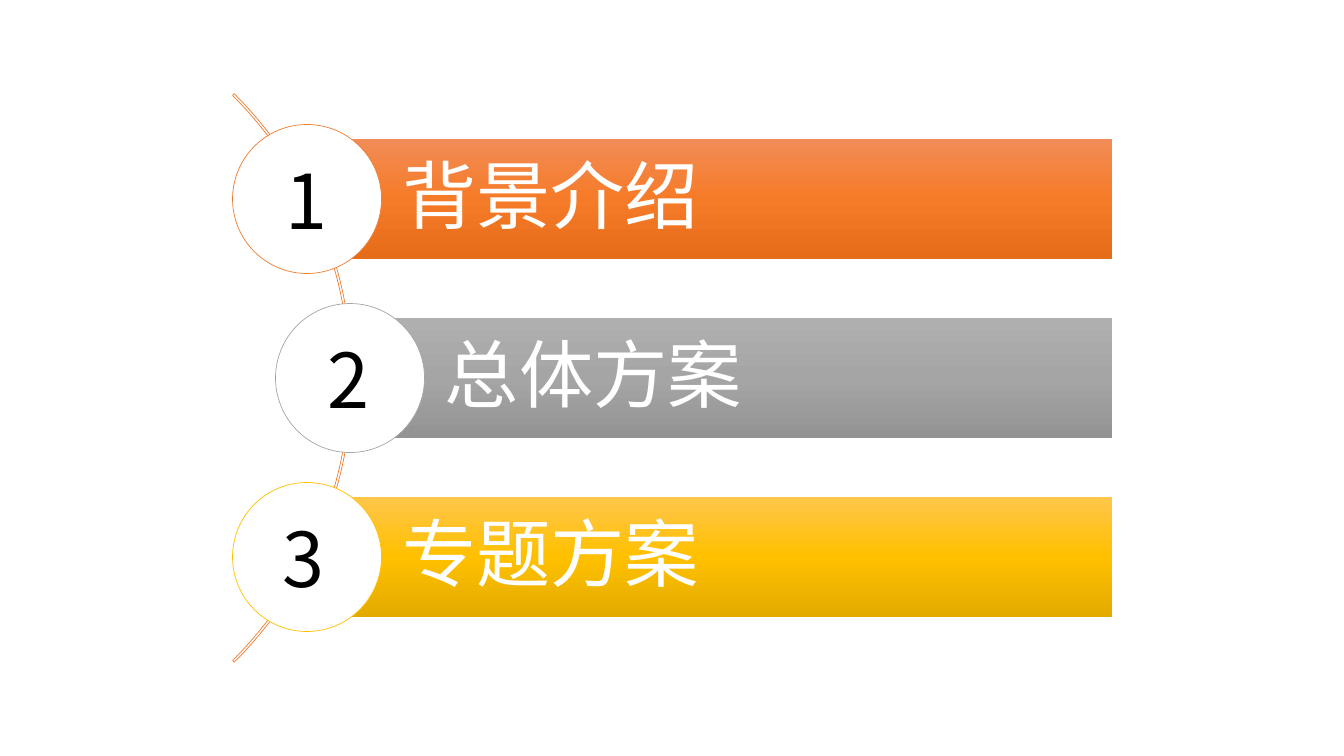
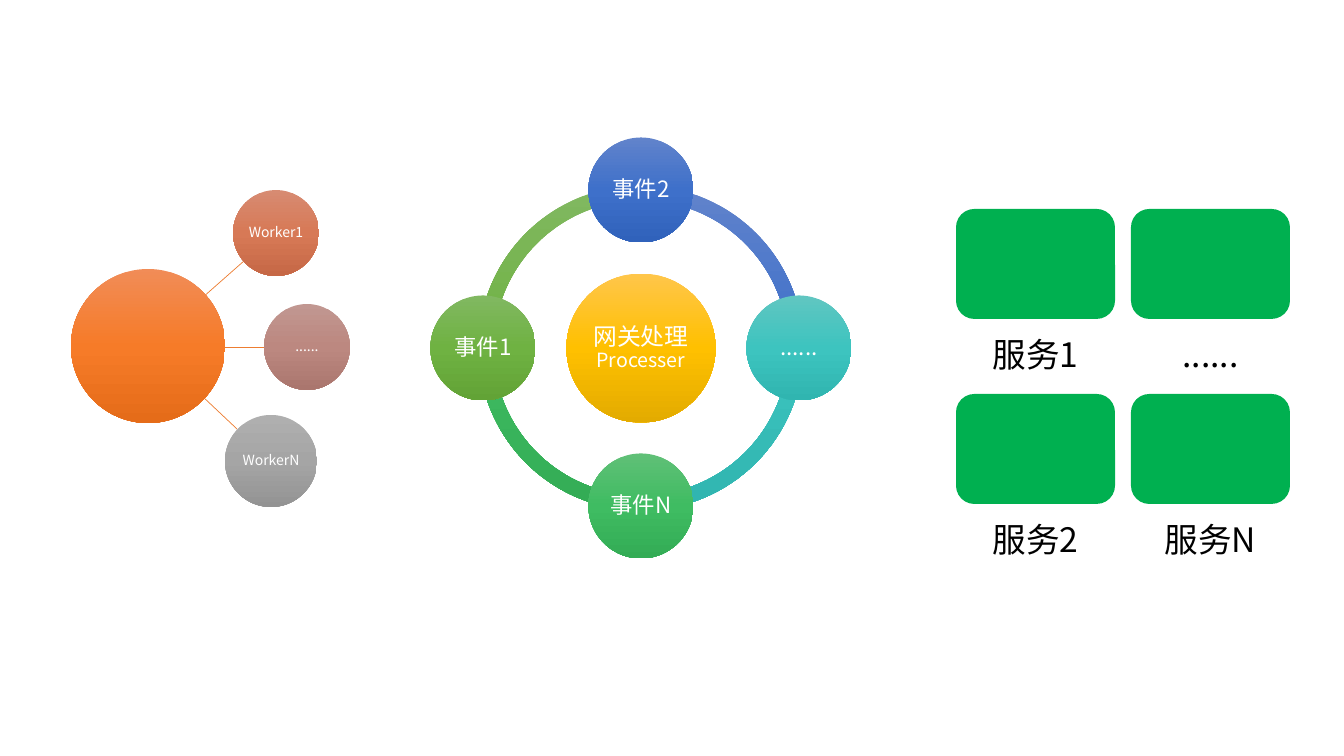
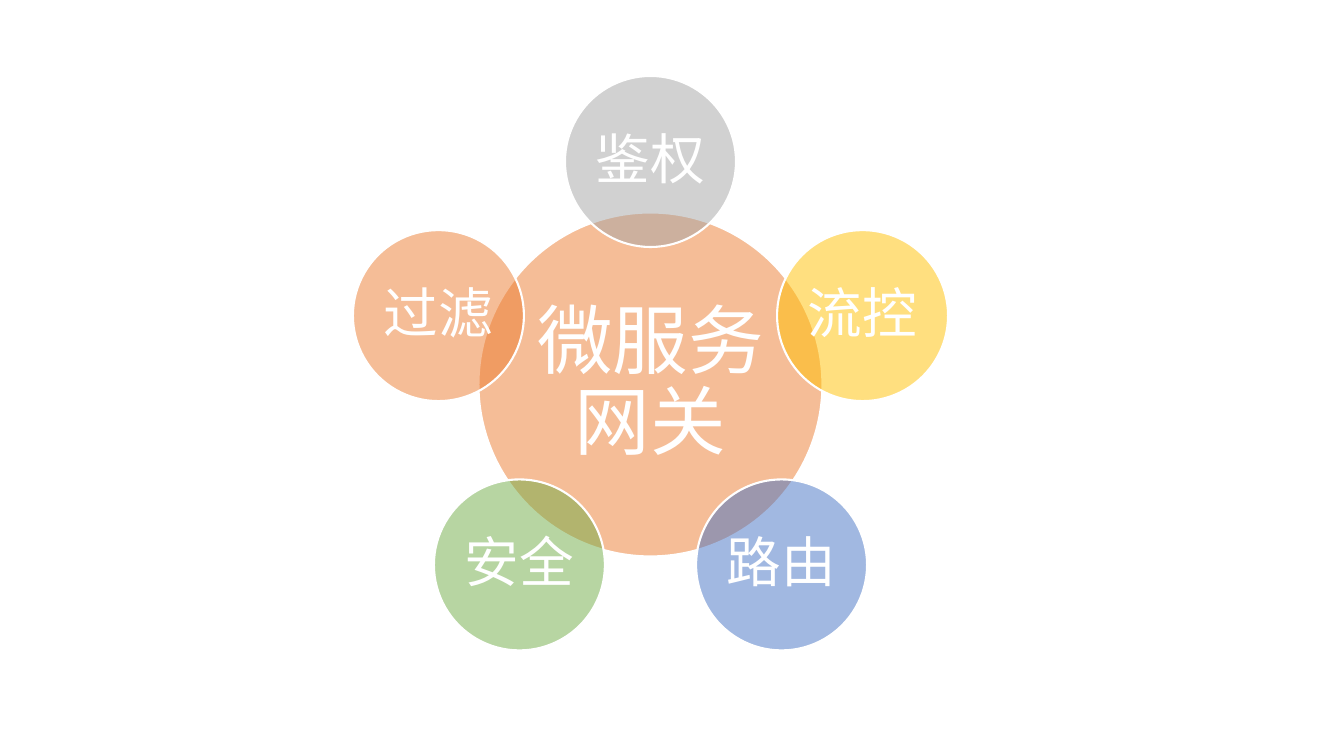
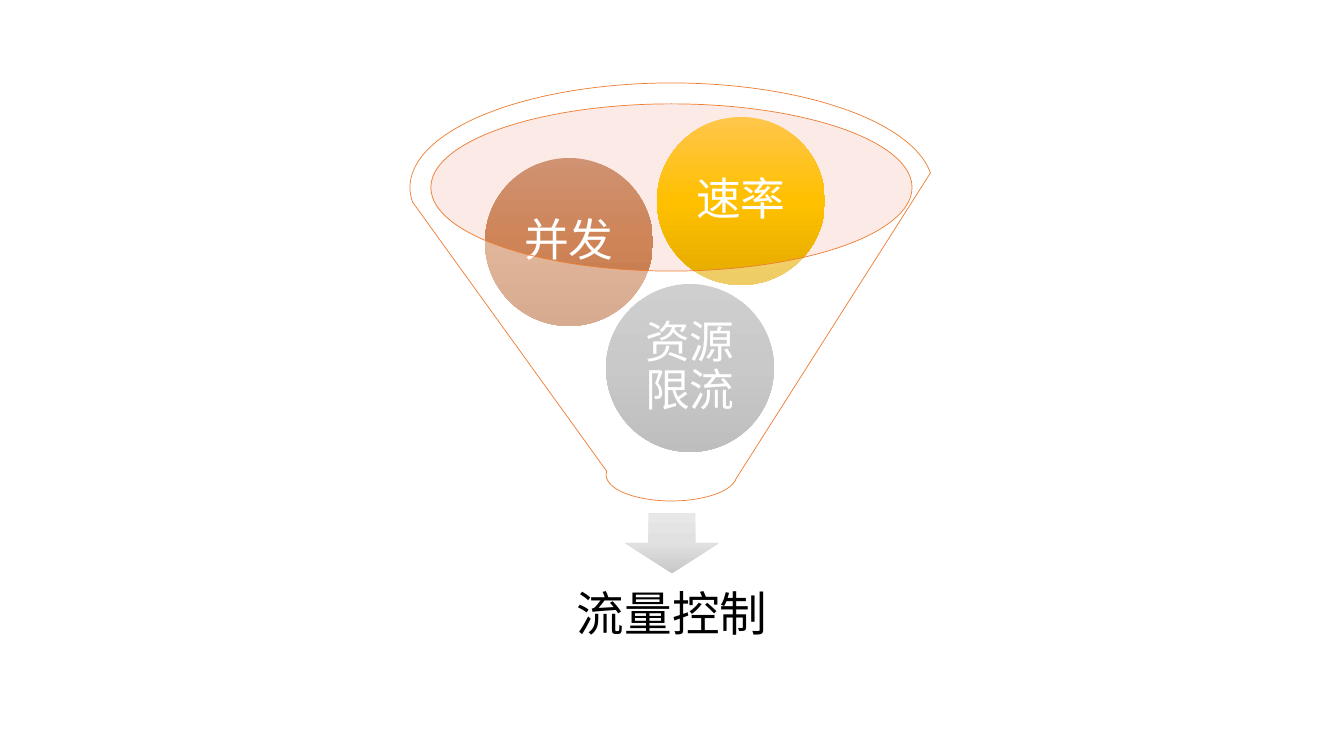
"""Build four slides on a microservice gateway: agenda, event model, functions and flow control."""
from copy import deepcopy
from math import cos, radians, sin

from pptx import Presentation
from pptx.dml.color import RGBColor
from pptx.enum.shapes import MSO_CONNECTOR, MSO_SHAPE as PRESET
from pptx.enum.text import MSO_ANCHOR as ANCHOR, MSO_AUTO_SIZE as AUTO_SIZE, PP_ALIGN as ALIGN
from pptx.oxml.ns import qn
from pptx.oxml.xmlchemy import OxmlElement
from pptx.util import Emu, Pt

PX = 914400 / 100.8
SLIDE_WIDTH, SLIDE_HEIGHT = 1344, 756
FONT = "Noto Sans CJK SC"
HAIRLINE = 0.5

WHITE = RGBColor(0xFF, 0xFF, 0xFF)
BLACK = RGBColor(0x00, 0x00, 0x00)
ORANGE = RGBColor(0xED, 0x7D, 0x31)
GRAY = RGBColor(0xA5, 0xA5, 0xA5)
GOLD = RGBColor(0xFF, 0xC0, 0x00)
BLUE = RGBColor(0x44, 0x72, 0xC4)
GREEN = RGBColor(0x70, 0xAD, 0x47)
SERVICE_GREEN = RGBColor(0x00, 0xB0, 0x50)
RIM_PINK = RGBColor(0xF6, 0xCC, 0xBE)

ORANGE_SHADES = (RGBColor(0xF1, 0x8C, 0x57), RGBColor(0xF6, 0x7B, 0x28), RGBColor(0xE5, 0x6C, 0x19))
GRAY_SHADES = (RGBColor(0xAF, 0xAF, 0xAF), GRAY, RGBColor(0x93, 0x93, 0x93))
GOLD_SHADES = (RGBColor(0xFF, 0xC6, 0x4B), GOLD, RGBColor(0xE3, 0xAB, 0x00))
LEAF_SHADES = (RGBColor(0x81, 0xB8, 0x61), RGBColor(0x6F, 0xB2, 0x42), RGBColor(0x62, 0xA3, 0x36))
EMERALD_SHADES = (RGBColor(0x60, 0xC0, 0x77), RGBColor(0x3F, 0xBC, 0x62), RGBColor(0x33, 0xAC, 0x55))
TEAL_SHADES = (RGBColor(0x60, 0xC6, 0xC1), RGBColor(0x3D, 0xC4, 0xBF), RGBColor(0x30, 0xB5, 0xB0))
BLUE_SHADES = (RGBColor(0x61, 0x83, 0xCB), RGBColor(0x3E, 0x70, 0xCA), RGBColor(0x30, 0x62, 0xBB))
CORAL_SHADES = (RGBColor(0xD7, 0x8B, 0x72), RGBColor(0xD7, 0x79, 0x56), RGBColor(0xC6, 0x68, 0x46))
ROSE_SHADES = (RGBColor(0xC1, 0x97, 0x91), RGBColor(0xBC, 0x88, 0x80), RGBColor(0xAA, 0x76, 0x6E))
COPPER_SHADES = (RGBColor(0xCF, 0x92, 0x72), RGBColor(0xCE, 0x84, 0x56), RGBColor(0xBD, 0x74, 0x47))
ARROW_SHADES = (RGBColor(0xE7, 0xE7, 0xE7), RGBColor(0xE1, 0xE1, 0xE1), RGBColor(0xC8, 0xC8, 0xC8))


def px(*lengths):
    return [Emu(round(length * PX)) for length in lengths]


def apply(target, values):
    for name, value in values.items():
        setattr(target, name, value)


def paint(fill, colour, opacity=100):
    """Fill with nothing, with one colour, or with three shades from top to bottom."""
    if colour is None:
        fill.background()
    elif isinstance(colour, RGBColor):
        fill.solid()
        fill.fore_color.rgb = colour
    else:
        fill.gradient()
        fill.gradient_angle = 270
        first_stop = fill.gradient_stops[0]._gs
        first_stop.addnext(deepcopy(first_stop))
        for stop, shade, position in zip(fill.gradient_stops, colour, (0, 0.5, 1)):
            stop.color.rgb = shade
            stop.position = position
    if opacity < 100:
        alpha = OxmlElement("a:alpha")
        alpha.set("val", str(opacity * 1000))
        fill._xPr.find(qn("a:solidFill"))[0].append(alpha)


def write(shape, runs, colour=WHITE, insets=(0, 0, 0, 0), align=ALIGN.CENTER,
          anchor=ANCHOR.MIDDLE, spacing=0.9, wrap=True):
    """Write one paragraph of (text, size) runs."""
    frame = shape.text_frame
    margins = zip(("margin_left", "margin_top", "margin_right", "margin_bottom"), px(*insets))
    apply(frame, {"word_wrap": wrap, "vertical_anchor": anchor, **dict(margins)})
    paragraph = frame.paragraphs[0]
    apply(paragraph, {"alignment": align, "line_spacing": spacing})
    for text, size in runs:
        run = paragraph.add_run()
        run.text = text
        run.font.color.rgb = colour
        apply(run.font, {"size": Pt(size), "name": FONT})
        east_asian = OxmlElement("a:ea")
        east_asian.set("typeface", FONT)
        run.font._element.append(east_asian)


def add_preset(slide, preset, box, fill=None, outline=None, weight=HAIRLINE, opacity=100, adjust=()):
    shape = slide.shapes.add_shape(preset, *px(*box))
    shape.shadow.inherit = False
    for index, value in enumerate(adjust):
        shape.adjustments[index] = value
    paint(shape.fill, fill, opacity)
    paint(shape.line.fill, outline)
    if outline is not None:
        shape.line.width = Pt(weight)
    return shape


def add_disc(slide, centre, diameter, fill, runs=(), inset=0, **look):
    """Draw a circle round its centre, with text inside."""
    left, top = (middle - diameter / 2 for middle in centre)
    disc = add_preset(slide, PRESET.OVAL, (left, top, diameter, diameter), fill, **look)
    if runs:
        write(disc, runs, insets=(inset,) * 4)


def add_label(slide, box, text, size, **layout):
    label = slide.shapes.add_textbox(*px(*box))
    write(label, [(text, size)], BLACK, **layout)
    return label


def add_spoke(slide, start, end):
    spoke = slide.shapes.add_connector(MSO_CONNECTOR.STRAIGHT, *px(*start, *end))
    spoke.line.color.rgb = ORANGE
    spoke.line.width = Pt(HAIRLINE)
    spoke._element.spPr.append(OxmlElement("a:effectLst"))


def orbit(centre, radius, index, count):
    """Give the place of one of count points, clockwise from the top."""
    angle = radians(360 * index / count)
    return centre[0] + radius * sin(angle), centre[1] - radius * cos(angle)


def build_agenda(slide):
    bar_height, bar_right, disc_size = 120, 1112, 149
    first_y, pitch = 199, 179
    chapters = (
        ("背景介绍", 307, 275, ORANGE, ORANGE_SHADES),
        ("总体方案", 350, 318, GRAY, GRAY_SHADES),
        ("专题方案", 307, 273, GOLD, GOLD_SHADES),
    )
    add_preset(slide, PRESET.BLOCK_ARC, (-452, -24, 804, 804), outline=ORANGE, adjust=(189, 27, 0.003))
    for index, (title, x, number_left, colour, shades) in enumerate(chapters):
        y = first_y + pitch * index
        bar = add_preset(slide, PRESET.RECTANGLE, (x, y - bar_height / 2, bar_right - x, bar_height), shades)
        write(bar, [(title, 53)], insets=(95, 15, 15, 15), align=ALIGN.LEFT)
        add_disc(slide, (x, y), disc_size, WHITE, outline=colour)
        number = add_label(slide, (number_left, y - 50, 66, 102), str(index + 1), 54, insets=(10, 5, 10, 5),
                           align=ALIGN.LEFT, anchor=ANCHOR.TOP, spacing=None, wrap=False)
        number.text_frame.auto_size = AUTO_SIZE.SHAPE_TO_FIT_TEXT


def build_event_ring(slide):
    centre, ring_size, quarter, full_turn = (641, 348), 325, 54, 216
    events = (
        ("事件2", BLUE_SHADES),
        ("......", TEAL_SHADES),
        ("事件N", EMERALD_SHADES),
        ("事件1", LEAF_SHADES),
    )
    ring_box = (centre[0] - ring_size / 2, centre[1] - ring_size / 2, ring_size, ring_size)
    for index, (_, shades) in reversed(list(enumerate(events))):
        start, end = ((quarter * (index + step)) % full_turn for step in (3, 4))
        add_preset(slide, PRESET.BLOCK_ARC, ring_box, shades, adjust=(start, end, 0.046))
    add_disc(slide, centre, 149, GOLD_SHADES, [("网关处理", 17), ("Processer", 14)], inset=2)
    for index, (event, shades) in enumerate(events):
        add_disc(slide, orbit(centre, 158, index, len(events)), 105, shades, [(event, 16)], inset=2)


def build_workers(slide):
    workers = (
        ("Worker1", (276, 233), 86, CORAL_SHADES, (202, 298), (244, 261)),
        ("......", (307, 347), 86, ROSE_SHADES, (202, 347), (264, 347)),
        ("WorkerN", (271, 461), 92, GRAY_SHADES, (202, 396), (237, 429)),
    )
    for *_, start, end in workers:
        add_spoke(slide, start, end)
    add_disc(slide, (148, 346), 154, ORANGE_SHADES)
    for worker, centre, diameter, shades, *_ in workers:
        add_disc(slide, centre, diameter, shades, [(worker, 10)], inset=1)


def build_services(slide):
    left, top, width, height = 956, 209, 159, 110
    for index, service in enumerate(("服务1", "......", "服务2", "服务N")):
        row, column = divmod(index, 2)
        x, y = left + 175 * column, top + 185 * row
        add_preset(slide, PRESET.ROUNDED_RECTANGLE, (x, y, width, height), SERVICE_GREEN)
        add_label(slide, (x, y + height, width, 59), service, 24, insets=(19, 19, 19, 0), anchor=ANCHOR.TOP)


def build_functions(slide):
    centre = (650.5, 384.5)
    look = {"outline": WHITE, "weight": 1.5, "opacity": 50}
    functions = (("鉴权", GRAY), ("流控", GOLD), ("路由", BLUE), ("安全", GREEN), ("过滤", ORANGE))
    add_disc(slide, centre, 344, ORANGE, [("微服务网关", 54)], inset=7, **look)
    for index, (function, colour) in enumerate(functions):
        place = orbit(centre, 223, index, len(functions))
        add_disc(slide, place, 171, colour, [(function, 39)], inset=5, **look)


def build_flow_control(slide):
    limits = (
        ("资源限流", (690, 368), GRAY_SHADES),
        ("并发", (569, 242), COPPER_SHADES),
        ("速率", (741, 201), GOLD_SHADES),
    )
    add_preset(slide, PRESET.OVAL, (430, 104, 482, 167), RIM_PINK, opacity=40)
    add_preset(slide, PRESET.DOWN_ARROW, (625, 513, 94, 60), ARROW_SHADES)
    add_label(slide, (448, 560, 448, 112), "流量控制", 34, insets=(26,) * 4)
    for limit, centre, shades in limits:
        add_disc(slide, centre, 168, shades, [(limit, 32)], inset=4)
    add_preset(slide, PRESET.FUNNEL, (410, 83, 523, 418), WHITE, outline=ORANGE, opacity=40)


def main():
    deck = Presentation()
    deck.slide_width, deck.slide_height = px(SLIDE_WIDTH, SLIDE_HEIGHT)
    pages = (
        (build_agenda,),
        (build_event_ring, build_workers, build_services),
        (build_functions,),
        (build_flow_control,),
    )
    for builders in pages:
        slide = deck.slides.add_slide(deck.slide_layouts[6])
        for build in builders:
            build(slide)
    deck.save("out.pptx")


main()
